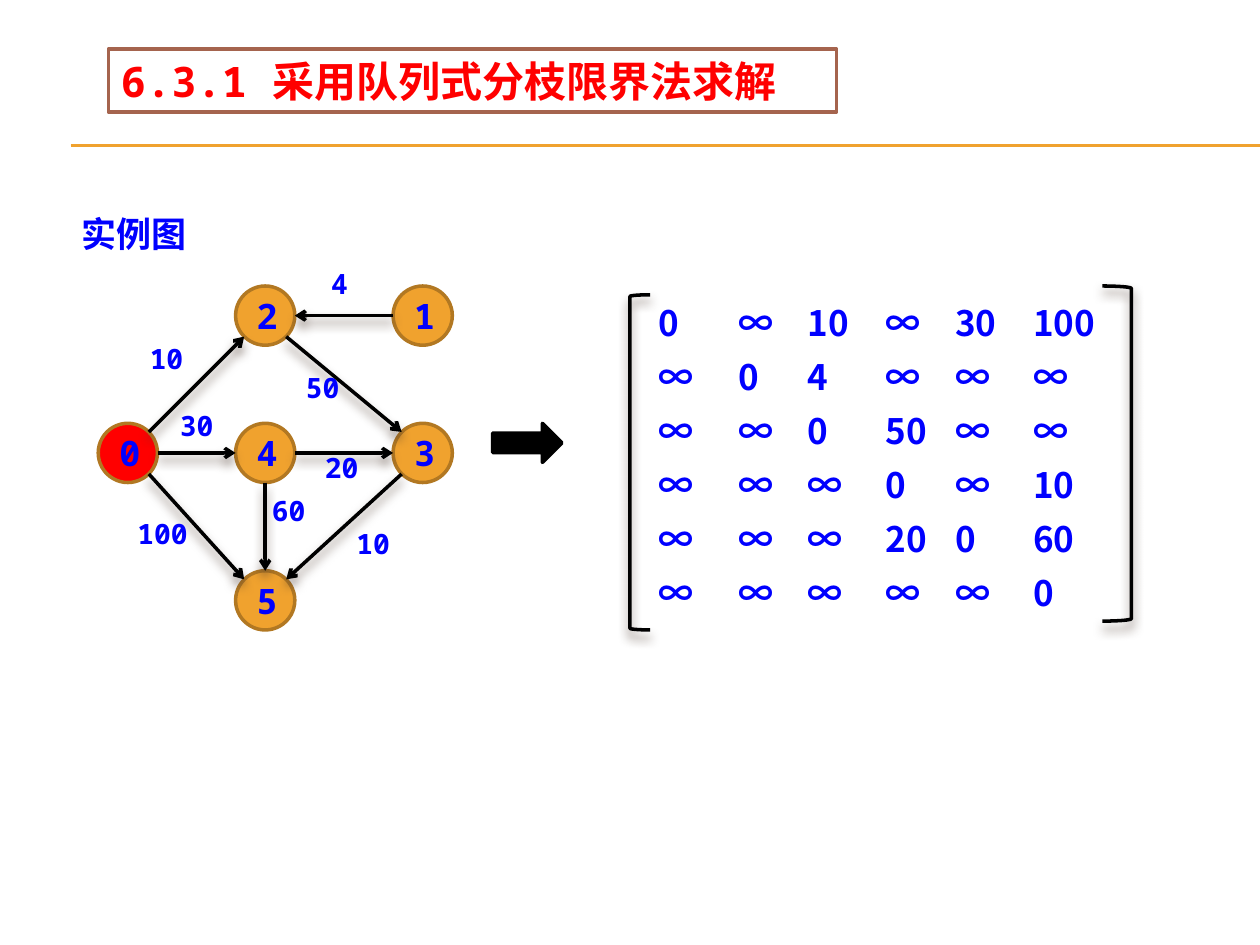
import pptx
import pptx.dml.color
import pptx.enum.shapes
import pptx.enum.text
import pptx.oxml
import pptx.oxml.ns
import pptx.util

Inches = pptx.util.Inches
Pt = pptx.util.Pt
SHAPE = pptx.enum.shapes.MSO_SHAPE
STRAIGHT = pptx.enum.shapes.MSO_CONNECTOR.STRAIGHT
MIDDLE = pptx.enum.text.MSO_ANCHOR.MIDDLE
TOP = pptx.enum.text.MSO_ANCHOR.TOP
CENTER = pptx.enum.text.PP_ALIGN.CENTER
LEFT = pptx.enum.text.PP_ALIGN.LEFT
rgb = pptx.dml.color.RGBColor.from_string
MONO = "Noto Sans Mono"
CJK = "Noto Sans CJK SC"
BLUE = "0000FF"
NS = pptx.oxml.ns.nsdecls("a")
SHADOW = (
    f'<a:effectLst {NS}><a:outerShdw blurRad="76200" dist="50800" dir="5400000" '
    'algn="ctr" rotWithShape="0"><a:srgbClr val="4E3B30"><a:alpha val="60000"/>'
    '</a:srgbClr></a:outerShdw></a:effectLst>'
)


def write(shape, text, size, color=BLUE, font=MONO, side=0.1, align=LEFT, anchor=TOP):
    frame = shape.text_frame
    frame.text = text
    frame.word_wrap = True
    frame.vertical_anchor = anchor
    frame.margin_left = frame.margin_right = Inches(side)
    frame.margin_top = frame.margin_bottom = Inches(0.05)
    frame.paragraphs[0].alignment = align
    run = frame.paragraphs[0].runs[0]
    run.font.size = Pt(size)
    run.font.bold = True
    run.font.name = font
    run.font.color.rgb = rgb(color)
    run.font._element.append(pptx.oxml.parse_xml(f'<a:ea {NS} typeface="{CJK}"/>'))


def outline(shape, color, width, effect=f"<a:effectLst {NS}/>"):
    shape.line.color.rgb = rgb(color)
    shape.line.width = Pt(width)
    shape._element.spPr.append(pptx.oxml.parse_xml(effect))


deck = pptx.Presentation()
deck.slide_width = Inches(10)
deck.slide_height = Inches(7.5)
slide = deck.slides.add_slide(deck.slide_layouts[5])
shapes = slide.shapes

for rule_y in (1.15, 1.16):
    rule = shapes.add_connector(STRAIGHT, Inches(0.56), Inches(rule_y), Inches(10), Inches(rule_y))
    outline(rule, "F0A22E", 0.75)

title = shapes.title
title.left, title.top = Inches(0.86), Inches(0.39)
title.width, title.height = Inches(5.78), Inches(0.5)
title.fill.solid()
title.fill.fore_color.rgb = rgb("FFFFFF")
outline(title, "A5644E", 2)
write(title, "6.3.1 采用队列式分枝限界法求解", 24, "FF0000")

diameter = 0.47
vertices = {
    "0": (0.78, 3.36), "2": (1.87, 2.27), "4": (1.87, 3.36),
    "3": (3.12, 3.36), "5": (1.87, 4.53), "1": (3.12, 2.27),
}
for name, (x, y) in vertices.items():
    vertex = shapes.add_shape(SHAPE.OVAL, Inches(x), Inches(y), Inches(diameter), Inches(diameter))
    vertex.fill.solid()
    vertex.fill.fore_color.rgb = rgb("FF0000" if name == "0" else "F0A22E")
    outline(vertex, "B27822", 2)
    write(vertex, name, 20, align=CENTER, anchor=MIDDLE)

edges = [
    ("0", "2", "10", 1.09, 2.66), ("0", "5", "100", 1.09, 4.05),
    ("0", "4", "30", 1.33, 3.19), ("2", "3", "50", 2.33, 2.89),
    ("4", "3", "20", 2.48, 3.53), ("3", "5", "10", 2.73, 4.13),
    ("1", "2", "4", 2.53, 2.07), ("4", "5", "60", 2.06, 3.87),
]
for source, target, weight, label_x, label_y in edges:
    (x1, y1), (x2, y2) = vertices[source], vertices[target]
    toward_x = (x2 > x1) - (x2 < x1)
    toward_y = (y2 > y1) - (y2 < y1)
    reach = diameter / 2 * (0.71 if toward_x and toward_y else 1)
    center = diameter / 2
    edge = shapes.add_connector(
        STRAIGHT,
        Inches(x1 + center + reach * toward_x), Inches(y1 + center + reach * toward_y),
        Inches(x2 + center - reach * toward_x), Inches(y2 + center - reach * toward_y),
    )
    outline(edge, "000000", 2, SHADOW)
    edge.line._get_or_add_ln().append(pptx.oxml.parse_xml(f'<a:tailEnd {NS} type="arrow"/>'))
    label = shapes.add_textbox(Inches(label_x), Inches(label_y), Inches(0.55), Inches(0.37))
    write(label, weight, 16, side=0 if len(weight) == 3 else 0.1)

matrix = [
    "0 ∞ 10 ∞ 30 100",
    "∞ 0 4 ∞ ∞ ∞",
    "∞ ∞ 0 50 ∞ ∞",
    "∞ ∞ ∞ 0 ∞ 10",
    "∞ ∞ ∞ 20 0 60",
    "∞ ∞ ∞ ∞ ∞ 0",
]
columns = (5.23, 5.86, 6.41, 7.03, 7.58, 8.2)
matrix_group = shapes.add_group_shape()
for row, entries in enumerate(matrix):
    for x, entry in zip(columns, entries.split()):
        cell = matrix_group.shapes.add_textbox(
            Inches(x), Inches(2.34 + 0.43 * row), Inches(0.55), Inches(0.44))
        write(cell, entry, 20, font=CJK, side=0)

for kind, x, y, width in (
    (SHAPE.LEFT_BRACKET, 5, 2.34, 0.16),
    (SHAPE.RIGHT_BRACKET, 8.75, 2.27, 0.23),
):
    bracket = matrix_group.shapes.add_shape(kind, Inches(x), Inches(y), Inches(width), Inches(2.66))
    bracket.fill.background()
    outline(bracket, "000000", 2, SHADOW)

becomes = shapes.add_shape(SHAPE.RIGHT_ARROW, Inches(3.91), Inches(3.36), Inches(0.55), Inches(0.31))
becomes.fill.solid()
becomes.fill.fore_color.rgb = rgb("000000")
outline(becomes, "000000", 2)

caption = shapes.add_textbox(Inches(0.55), Inches(1.64), Inches(1.41), Inches(0.44))
write(caption, "实例图", 20)

deck.save("out.pptx")
